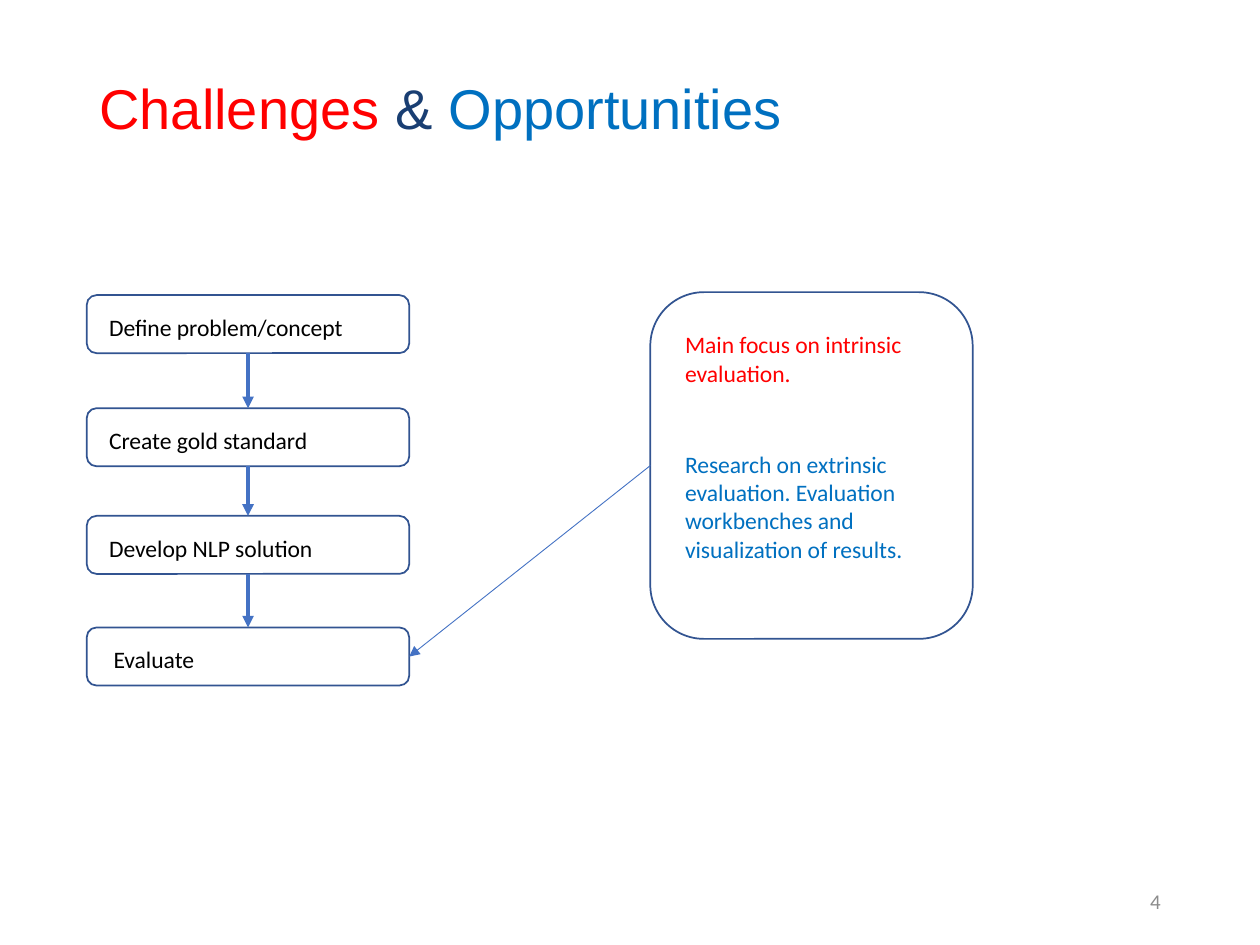
"""Build the slide on challenges and opportunities in the evaluation process."""
from dataclasses import dataclass

import pptx
import pptx.dml.color
import pptx.enum.shapes
import pptx.enum.text
import pptx.oxml.ns
import pptx.util
from lxml import etree

Cm = pptx.util.Cm
Align = pptx.enum.text.PP_ALIGN
Anchor = pptx.enum.text.MSO_ANCHOR


@dataclass(frozen=True)
class Theme:
    heading_font: str = "Arial"
    body_font: str = "Calibri"
    challenge: str = "FF0000"
    opportunity: str = "0070C0"
    joiner: str = "193E72"
    body: str = "000000"
    muted: str = "8C8C8C"
    outline: str = "325491"
    arrow: str = "4472C4"
    heading_size: float = 32
    body_size: float = 13.5
    number_size: float = 12
    outline_width: float = 1
    flow_width: float = 2.25
    callout_width: float = 0.5


def rgb(value):
    return pptx.dml.color.RGBColor.from_string(value)


def write(paragraph, text, *, font, size, color, align=Align.LEFT):
    paragraph.alignment = align
    run = paragraph.add_run()
    run.text = text
    run.font.name = font
    run.font.size = pptx.util.Pt(size)
    run.font.color.rgb = rgb(color)


class SlideBuilder:
    def __init__(self, slide, theme):
        self.slide = slide
        self.theme = theme

    def title(self, parts, left, top, width, height):
        heading = self.slide.shapes.title
        heading.left, heading.top = Cm(left), Cm(top)
        heading.width, heading.height = Cm(width), Cm(height)
        heading.text_frame.vertical_anchor = Anchor.MIDDLE
        paragraph = heading.text_frame.paragraphs[0]
        paragraph.line_spacing = 0.9
        for text, color in parts:
            write(paragraph, text, font=self.theme.heading_font,
                  size=self.theme.heading_size, color=color)

    def label(self, text, left, top, width, height, anchor=Anchor.TOP, **style):
        area = self.slide.shapes.add_textbox(Cm(left), Cm(top), Cm(width), Cm(height))
        area.text_frame.word_wrap = True
        area.text_frame.vertical_anchor = anchor
        defaults = dict(font=self.theme.body_font, size=self.theme.body_size,
                        color=self.theme.body)
        write(area.text_frame.paragraphs[0], text, **(defaults | style))

    def frame(self, left, top, width, height):
        outline = self.slide.shapes.add_shape(
            pptx.enum.shapes.MSO_SHAPE.ROUNDED_RECTANGLE,
            Cm(left), Cm(top), Cm(width), Cm(height))
        outline.shadow.inherit = False
        outline.fill.background()
        outline.line.color.rgb = rgb(self.theme.outline)
        outline.line.width = pptx.util.Pt(self.theme.outline_width)
        return outline

    def arrow(self, source, source_site, target, target_site, width):
        link = self.slide.shapes.add_connector(
            pptx.enum.shapes.MSO_CONNECTOR.STRAIGHT, 0, 0, 0, 0)
        link.begin_connect(source, source_site)
        link.end_connect(target, target_site)
        link.line.color.rgb = rgb(self.theme.arrow)
        link.line.width = pptx.util.Pt(width)
        qn = pptx.oxml.ns.qn
        etree.SubElement(link.line._get_or_add_ln(), qn("a:tailEnd"), type="triangle")
        etree.SubElement(link._element.spPr, qn("a:effectLst"))


def main():
    theme = Theme()
    deck = pptx.Presentation()
    deck.slide_width, deck.slide_height = Cm(25.4), Cm(19.05)
    page = SlideBuilder(deck.slides.add_slide(deck.slide_layouts[5]), theme)
    top_site, left_site, bottom_site, right_site = range(4)

    page.title([("Challenges", theme.challenge), (" & ", theme.joiner),
                ("Opportunities", theme.opportunity)], 1.75, 1.02, 21.9, 2.44)
    page.label("4", 17.93, 17.65, 5.72, 1.02, anchor=Anchor.MIDDLE,
               size=theme.number_size, color=theme.muted, align=Align.RIGHT)

    steps = []
    for text, top, indent in (("Define problem/concept", 5.95, 0.2),
                              ("Create gold standard", 8.23, 0.2),
                              ("Develop NLP solution", 10.4, 0.2),
                              ("Evaluate", 12.65, 0.29)):
        steps.append(page.frame(1.75, top, 6.5, 1.17))
        page.label(text, 1.75 + indent, top + 0.23, 5.38, 0.84)
    for step, following in zip(steps, steps[1:]):
        page.arrow(step, bottom_site, following, top_site, theme.flow_width)

    findings = page.frame(13.11, 5.89, 6.5, 6.99)
    page.label("Main focus on intrinsic evaluation.",
               13.56, 6.53, 5.38, 1.42, color=theme.challenge)
    page.label("Research on extrinsic evaluation. Evaluation workbenches "
               "and visualization of results.",
               13.56, 8.94, 5.38, 2.57, color=theme.opportunity)
    page.arrow(findings, left_site, steps[-1], right_site, theme.callout_width)

    deck.save("out.pptx")


if __name__ == "__main__":
    main()
